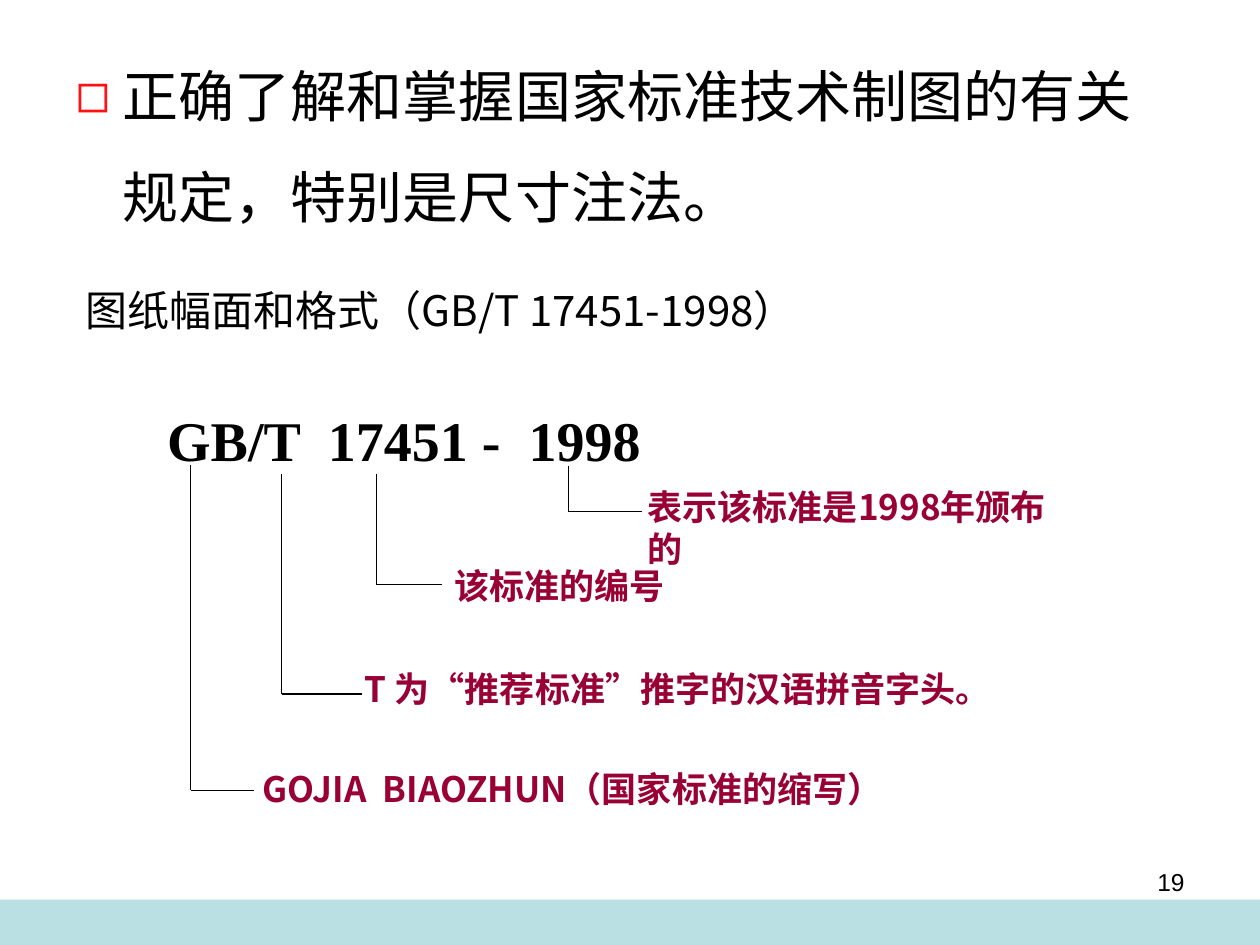
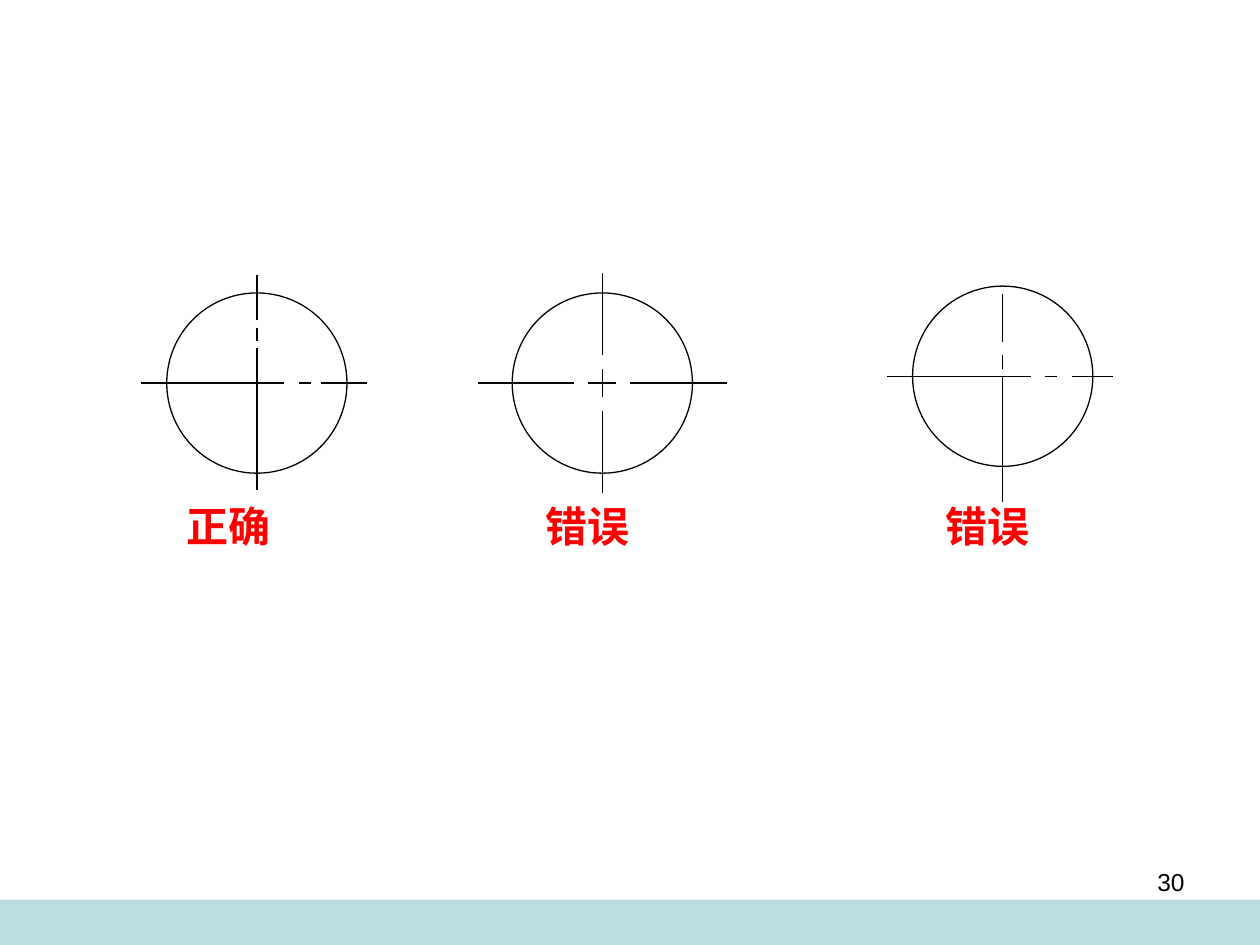
from lxml import etree
from pptx import Presentation
from pptx import util as u
from pptx.dml.color import RGBColor
from pptx.enum import shapes, text
from pptx.oxml import ns

COLORS = {"ink": "000000", "band": "BBE0E3", "note": "990033", "verdict": "FF0000", "bullet": "FF1111"}
CJK = "Noto Sans CJK SC"
SLIDE_W, SLIDE_H = 720, 540
BAND_H = 26
LINE_W = 0.75
INDENT = 27
DIAMETER = 103


def write(sp, words, box, size, font=CJK, color="ink", bold=False, align=text.PP_ALIGN.LEFT,
          anchor=text.MSO_ANCHOR.TOP, spacing=1.0, bullet=None):
    sp.left, sp.top, sp.width, sp.height = [u.Pt(length) for length in box]
    tf = sp.text_frame
    tf.word_wrap = True
    tf.auto_size = text.MSO_AUTO_SIZE.NONE
    tf.vertical_anchor = anchor
    p = tf.paragraphs[0]
    p.alignment = align
    p.space_before = u.Pt(0)
    p.line_spacing = spacing
    if bullet:
        pPr = p._p.get_or_add_pPr()
        pPr.set("marL", str(u.Pt(INDENT)))
        pPr.set("indent", str(u.Pt(-INDENT)))
        bullet_color = etree.SubElement(pPr, ns.qn("a:buClr"))
        etree.SubElement(bullet_color, ns.qn("a:srgbClr"), val=COLORS["bullet"])
        etree.SubElement(pPr, ns.qn("a:buChar"), char=bullet)
    r = p.add_run()
    r.text = words
    r.font.size = u.Pt(size)
    r.font.name = font
    r.font.bold = bold
    r.font.color.rgb = RGBColor.from_string(COLORS[color])


def draw_line(s, x1, y1, x2, y2):
    line = s.shapes.add_connector(shapes.MSO_CONNECTOR.STRAIGHT, u.Pt(x1), u.Pt(y1), u.Pt(x2), u.Pt(y2))
    line.line.color.rgb = RGBColor.from_string(COLORS["ink"])
    line.line.width = u.Pt(LINE_W)
    etree.SubElement(line._element.spPr, ns.qn("a:effectLst"))


prs = Presentation()
prs.slide_width, prs.slide_height = u.Pt(SLIDE_W), u.Pt(SLIDE_H)
code_slide = prs.slides.add_slide(prs.slide_layouts[1])
circle_slide = prs.slides.add_slide(prs.slide_layouts[6])

band = code_slide.shapes.add_shape(
    shapes.MSO_SHAPE.RECTANGLE, u.Pt(0), u.Pt(SLIDE_H - BAND_H), u.Pt(SLIDE_W), u.Pt(BAND_H))
band.shadow.inherit = False
band.fill.solid()
band.fill.fore_color.rgb = RGBColor.from_string(COLORS["band"])
band.line.fill.background()
prs.slide_master.shapes.element.insert(2, band._element)

for s, number in [(code_slide, "19"), (circle_slide, "30")]:
    write(s.shapes.add_textbox(0, 0, 0, 0), number, (516, 492, 168, 37), 14,
          font="Arial", align=text.PP_ALIGN.RIGHT)

title, body = code_slide.placeholders
write(title, "图纸幅面和格式（GB/T 17451-1998）", (41.8, 131.8, 648, 90), 24,
      anchor=text.MSO_ANCHOR.MIDDLE)
write(body, "正确了解和掌握国家标准技术制图的有关规定，特别是尺寸注法。", (36, 12.3, 648, 166), 32,
      font="Arial", spacing=1.5, bullet="◻")
write(code_slide.shapes.add_textbox(0, 0, 0, 0), "GB/T  17451 -  1998", (54, 228, 354, 46), 32,
      font="Times New Roman", bold=True, align=text.PP_ALIGN.CENTER)

leaders = [
    {"start": (324.7, 266.4), "elbow_y": 292.2, "end_x": 367,
     "label": "表示该标准是1998年颁布的", "box": (363, 274, 261, 55)},
    {"start": (215.2, 270.8), "elbow_y": 334.2, "end_x": 252.5,
     "label": "该标准的编号", "box": (252.6, 319, 220, 32)},
    {"start": (161, 270.8), "elbow_y": 396.6, "end_x": 206.8,
     "label": "T 为“推荐标准”推字的汉语拼音字头。", "box": (201.5, 377.6, 451, 32)},
    {"start": (108.9, 265.7), "elbow_y": 451.6, "end_x": 145,
     "label": "GOJIA  BIAOZHUN（国家标准的缩写）", "box": (143, 434.9, 451, 32)},
]
for leader in leaders:
    x, start_y = leader["start"]
    elbow_y = leader["elbow_y"]
    draw_line(code_slide, x, start_y, x, elbow_y)
    draw_line(code_slide, x, elbow_y, leader["end_x"], elbow_y)
    write(code_slide.shapes.add_textbox(0, 0, 0, 0), leader["label"], leader["box"], 20,
          color="note", bold=True)

centre_marks = [
    {"verdict": "正确", "centre": (146.8, 218.9), "label_dx": -47.4,
     "down": [(-62, -36), (-31.6, -24), (-20, 61.3)],
     "across": [(-66, 15.4), (24, 31), (36.8, 62.8)]},
    {"verdict": "错误", "centre": (344.2, 218.9), "label_dx": -39.6,
     "down": [(-63, -16), (-8, 8), (16, 63)],
     "across": [(-71, -16), (-8, 8), (16, 71)]},
    {"verdict": "错误", "centre": (573, 215), "label_dx": -39.6,
     "down": [(-47, -19.5), (-12, -4), (0.4, 71.6)],
     "across": [(-66, 16), (24, 31), (39.6, 63)]},
]
for mark in centre_marks:
    cx, cy = mark["centre"]
    circle = circle_slide.shapes.add_shape(
        shapes.MSO_SHAPE.OVAL, u.Pt(cx - DIAMETER / 2), u.Pt(cy - DIAMETER / 2),
        u.Pt(DIAMETER), u.Pt(DIAMETER))
    circle.shadow.inherit = False
    circle.fill.background()
    circle.line.color.rgb = RGBColor.from_string(COLORS["ink"])
    circle.line.width = u.Pt(LINE_W)
    for start, end in mark["down"]:
        draw_line(circle_slide, cx, cy + start, cx, cy + end)
    for start, end in mark["across"]:
        draw_line(circle_slide, cx + start, cy, cx + end, cy)
    write(circle_slide.shapes.add_textbox(0, 0, 0, 0), mark["verdict"],
          (cx + mark["label_dx"], 282.4, 90, 36), 24, color="verdict", bold=True)

prs.save("out.pptx")
